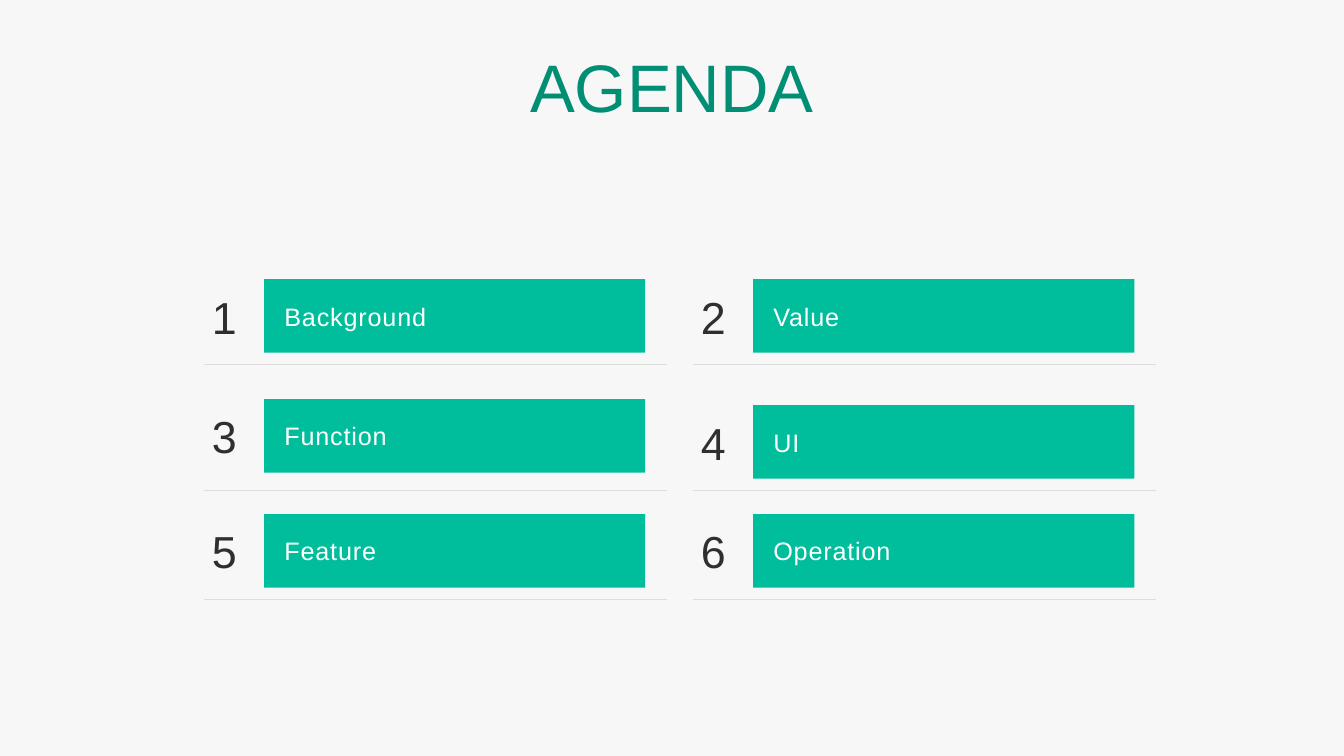
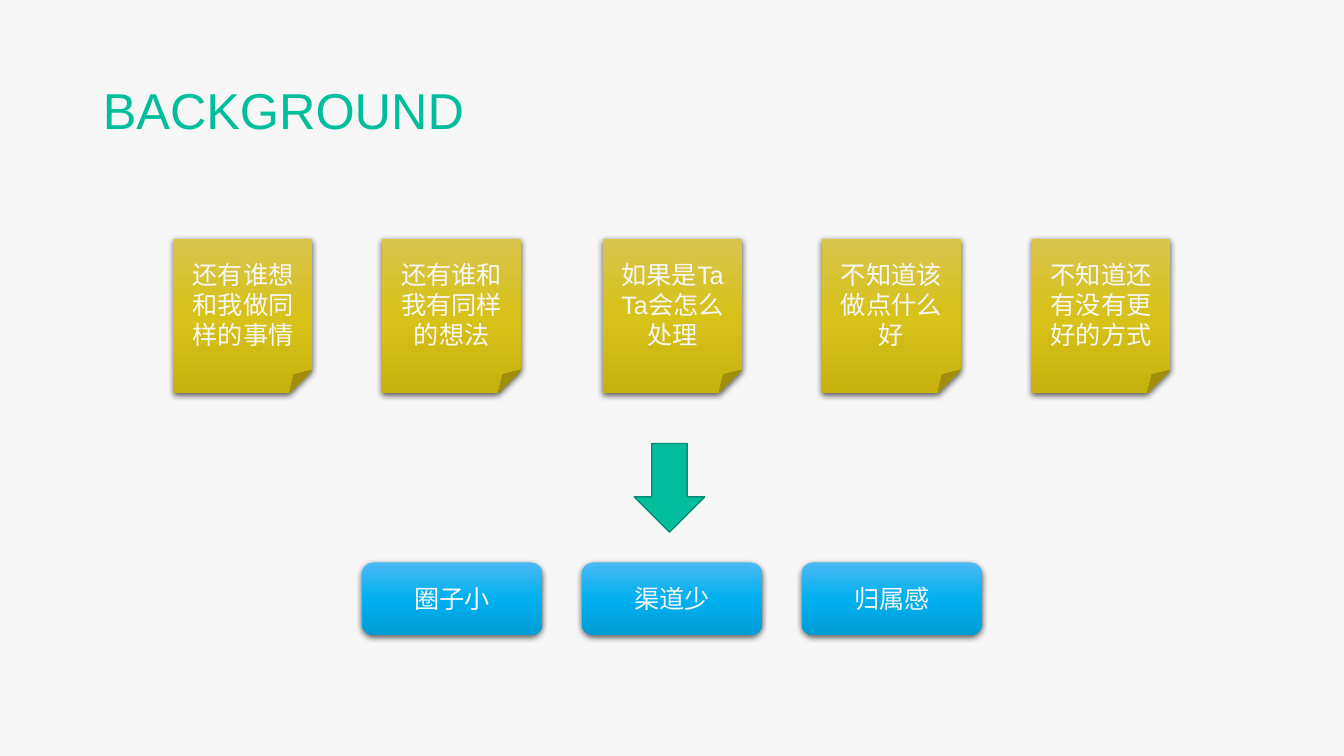
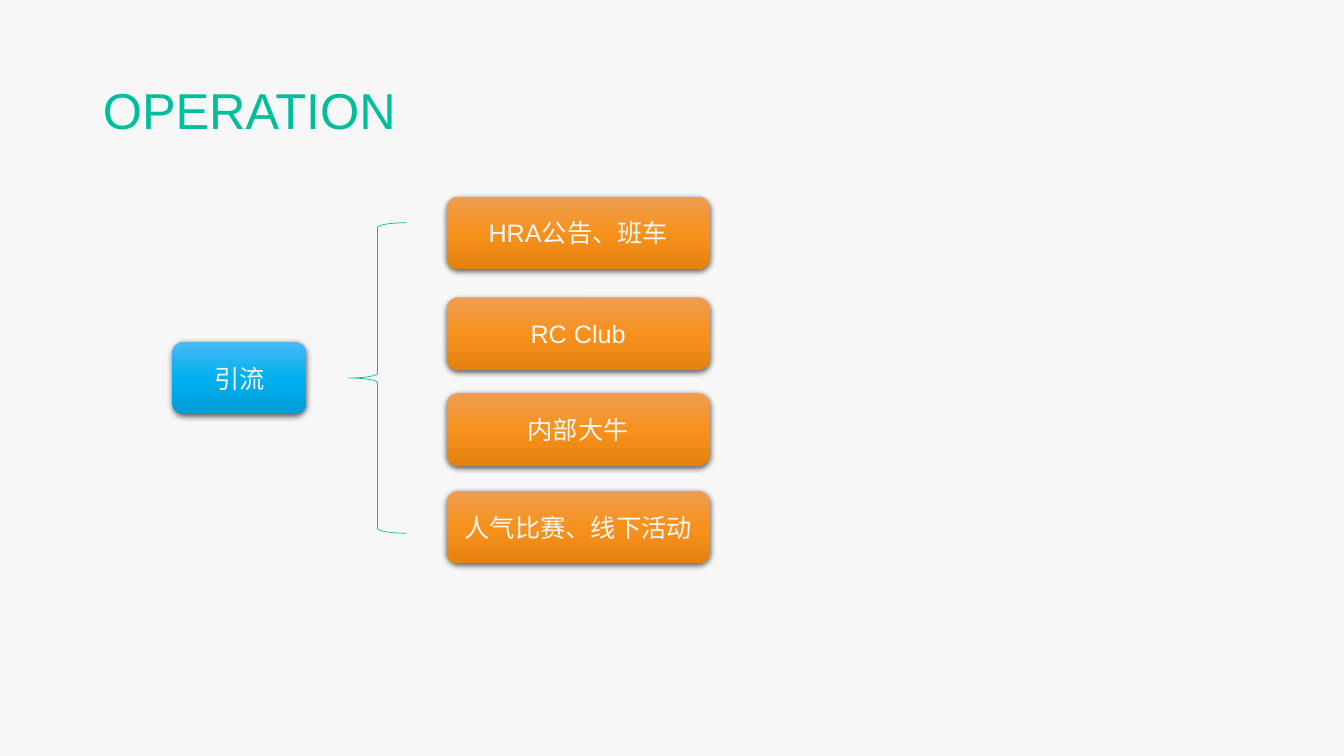
from dataclasses import dataclass

from lxml import etree
from pptx import Presentation
from pptx.dml.color import RGBColor
from pptx.enum.shapes import MSO_CONNECTOR, MSO_SHAPE
from pptx.enum.text import MSO_ANCHOR, PP_ALIGN
from pptx.oxml import parse_xml
from pptx.oxml.ns import nsdecls, qn
from pptx.util import Inches, Pt

LEFT, CENTER = PP_ALIGN.LEFT, PP_ALIGN.CENTER
MIDDLE = MSO_ANCHOR.MIDDLE
RECT, ROUNDED, NOTE = MSO_SHAPE.RECTANGLE, MSO_SHAPE.ROUNDED_RECTANGLE, MSO_SHAPE.FOLDED_CORNER
DOWN_ARROW, LEFT_BRACE = MSO_SHAPE.DOWN_ARROW, MSO_SHAPE.LEFT_BRACE
STRAIGHT = MSO_CONNECTOR.STRAIGHT


@dataclass(frozen=True)
class Theme:
    font: str = "Arial"
    paper: str = "F7F7F7"
    green: str = "00BE9C"
    deep_green: str = "008E75"
    arrow_edge: str = "008D73"
    ink: str = "2F2F2F"
    white: str = "FFFFFF"
    rule: str = "DDDDDD"
    yellow: tuple = ("D9C44F", "D8C118", "C7B10E")
    blue: tuple = ("4BB9F5", "00B0F0", "009CD5")
    orange: tuple = ("F09D52", "F6921C", "E5820F")
    agenda_size: int = 48
    title_size: int = 36
    number_size: int = 32
    body_size: int = 18


THEME = Theme()
SLIDE_SIZE = (13.33, 7.5)
TITLE_BOX = (0.92, 0.4, 11.5, 1.45)
AGENDA_TITLE_BOX = (4.77, 0.27, 3.79, 1.16)

# Each agenda row: rule height, then (label, bar top) for each column
AGENDA = [
    (3.61, [("Background", 2.77), ("Value", 2.77)]),
    (4.86, [("Function", 3.96), ("UI", 4.02)]),
    (5.94, [("Feature", 5.1), ("Operation", 5.1)]),
]
AGENDA_LEFT, AGENDA_STEP = 1.86, 4.85

# Background slide: (text, left)
WORRIES = [
    ("还有谁想和我做同样的事情", 1.72),
    ("还有谁和我有同样的想法", 3.79),
    ("如果是Ta Ta会怎么处理", 5.98),
    ("不知道该做点什么好", 8.15),
    ("不知道还有没有更好的方式", 10.23),
]
CAUSES = ["圈子小", "渠道少", "归属感"]
CAUSE_LEFT, CAUSE_STEP = 3.59, 2.18

# Operation slide: (text, top)
GOAL = "引流"
CHANNELS = [
    ("HRA公告、班车", 1.95),
    ("RC Club", 2.95),
    ("内部大牛", 3.9),
    ("人气比赛、线下活动", 4.87),
]
BUTTON_HEIGHT = 0.72


def rgb(color):
    return RGBColor.from_string(color)


def inches(box):
    return [Inches(length) for length in box]


def write(frame, text, size, color, align=LEFT, spacing=None, insets=None):
    """Fill a text frame with one paragraph, centred vertically."""
    frame.word_wrap = True
    frame.vertical_anchor = MIDDLE
    if insets:
        (frame.margin_left, frame.margin_top,
         frame.margin_right, frame.margin_bottom) = inches(insets)
    paragraph = frame.paragraphs[0]
    paragraph.text = text
    paragraph.alignment = align
    paragraph.line_spacing = spacing
    font = paragraph.font
    font.name, font.size = THEME.font, Pt(size)
    font.color.rgb = rgb(color)
    return paragraph


def add_flat(slide, kind, box, fill=None, line=None, line_width=1):
    shape = slide.shapes.add_shape(kind, *inches(box))
    shape.shadow.inherit = False
    if fill:
        shape.fill.solid()
        shape.fill.fore_color.rgb = rgb(fill)
    else:
        shape.fill.background()
    if line:
        shape.line.color.rgb = rgb(line)
        shape.line.width = Pt(line_width)
    else:
        shape.line.fill.background()
    return shape


def add_glossy(slide, kind, box, shades, text):
    """Add a captioned shape with a vertical three-stop gradient and a soft shadow."""
    shape = add_flat(slide, kind, box)
    shape.fill.gradient()
    shape.fill.gradient_angle = 270
    properties = shape._element.spPr
    gradient = properties.find(qn("a:gradFill"))
    stops = "".join(
        f'<a:gs pos="{index * 50000}"><a:srgbClr val="{shade}"/></a:gs>'
        for index, shade in enumerate(shades))
    gradient.replace(gradient.find(qn("a:gsLst")),
                     parse_xml(f'<a:gsLst {nsdecls("a")}>{stops}</a:gsLst>'))
    properties.find(qn("a:effectLst")).append(parse_xml(
        f'<a:outerShdw {nsdecls("a")} blurRad="{Pt(4.5)}" dist="{Pt(1.5)}" dir="5400000" '
        'algn="ctr" rotWithShape="0"><a:srgbClr val="000000"><a:alpha val="63000"/>'
        '</a:srgbClr></a:outerShdw>'))
    write(shape.text_frame, text, THEME.body_size, THEME.paper, CENTER)


def add_rule(slide, left, top, width):
    rule = slide.shapes.add_connector(STRAIGHT, *inches((left, top, left + width, top)))
    rule.line.color.rgb = rgb(THEME.rule)
    rule.line.width = Pt(0.25)
    etree.SubElement(rule._element.spPr, qn("a:effectLst"))


def place(shape, box):
    shape.left, shape.top, shape.width, shape.height = inches(box)


def prepare_layout(prs):
    """Set the shared paper colour and title position; return the title layout."""
    paper = prs.slide_master.background.fill
    paper.solid()
    paper.fore_color.rgb = rgb(THEME.paper)
    layout = prs.slide_layouts.get_by_name("Title Only")
    place(layout.placeholders[0], TITLE_BOX)
    return layout


def add_titled_slide(prs, layout, title):
    slide = prs.slides.add_slide(layout)
    write(slide.shapes.title.text_frame, title, THEME.title_size, THEME.green, spacing=0.9)
    return slide


def add_agenda_item(slide, number, label, left, bar_top, rule_top):
    number_box = slide.shapes.add_textbox(*inches((left, bar_top - 0.02, 0.73, 0.84)))
    write(number_box.text_frame, str(number), THEME.number_size, THEME.ink, CENTER,
          spacing=0.9, insets=(0, 0, 0, 0))
    bar = add_flat(slide, RECT, (left + 0.76, bar_top, 3.78, 0.73), THEME.green)
    caption = write(bar.text_frame, label, THEME.body_size, THEME.white,
                    insets=(0.2, 0, 0, 0))
    caption.runs[0]._r.get_or_add_rPr().set("spc", "60")
    add_rule(slide, left + 0.16, rule_top, 4.6)


def build_agenda(prs, layout):
    slide = prs.slides.add_slide(layout)
    place(slide.shapes.title, AGENDA_TITLE_BOX)
    write(slide.shapes.title.text_frame, "AGENDA", THEME.agenda_size, THEME.deep_green,
          CENTER, insets=(0, 0, 0, 0))
    for row, (rule_top, items) in enumerate(AGENDA):
        for column, (label, bar_top) in enumerate(items):
            add_agenda_item(slide, row * len(items) + column + 1, label,
                            AGENDA_LEFT + column * AGENDA_STEP, bar_top, rule_top)


def build_background(prs, layout):
    slide = add_titled_slide(prs, layout, "BACKGROUND")
    for worry, left in WORRIES:
        add_glossy(slide, NOTE, (left, 2.37, 1.38, 1.53), THEME.yellow, worry)
    add_flat(slide, DOWN_ARROW, (6.29, 4.4, 0.7, 0.88), THEME.green, THEME.arrow_edge)
    for index, cause in enumerate(CAUSES):
        left = CAUSE_LEFT + index * CAUSE_STEP
        add_glossy(slide, ROUNDED, (left, 5.58, 1.79, BUTTON_HEIGHT), THEME.blue, cause)


def build_operation(prs, layout):
    slide = add_titled_slide(prs, layout, "OPERATION")
    add_glossy(slide, ROUNDED, (1.71, 3.39, 1.33, BUTTON_HEIGHT), THEME.blue, GOAL)
    add_flat(slide, LEFT_BRACE, (3.46, 2.21, 0.57, 3.08), line=THEME.green, line_width=0.5)
    for channel, top in CHANNELS:
        add_glossy(slide, ROUNDED, (4.43, top, 2.61, BUTTON_HEIGHT), THEME.orange, channel)


def main():
    prs = Presentation()
    prs.slide_width, prs.slide_height = inches(SLIDE_SIZE)
    layout = prepare_layout(prs)
    for build in (build_agenda, build_background, build_operation):
        build(prs, layout)
    prs.save("out.pptx")


if __name__ == "__main__":
    main()
